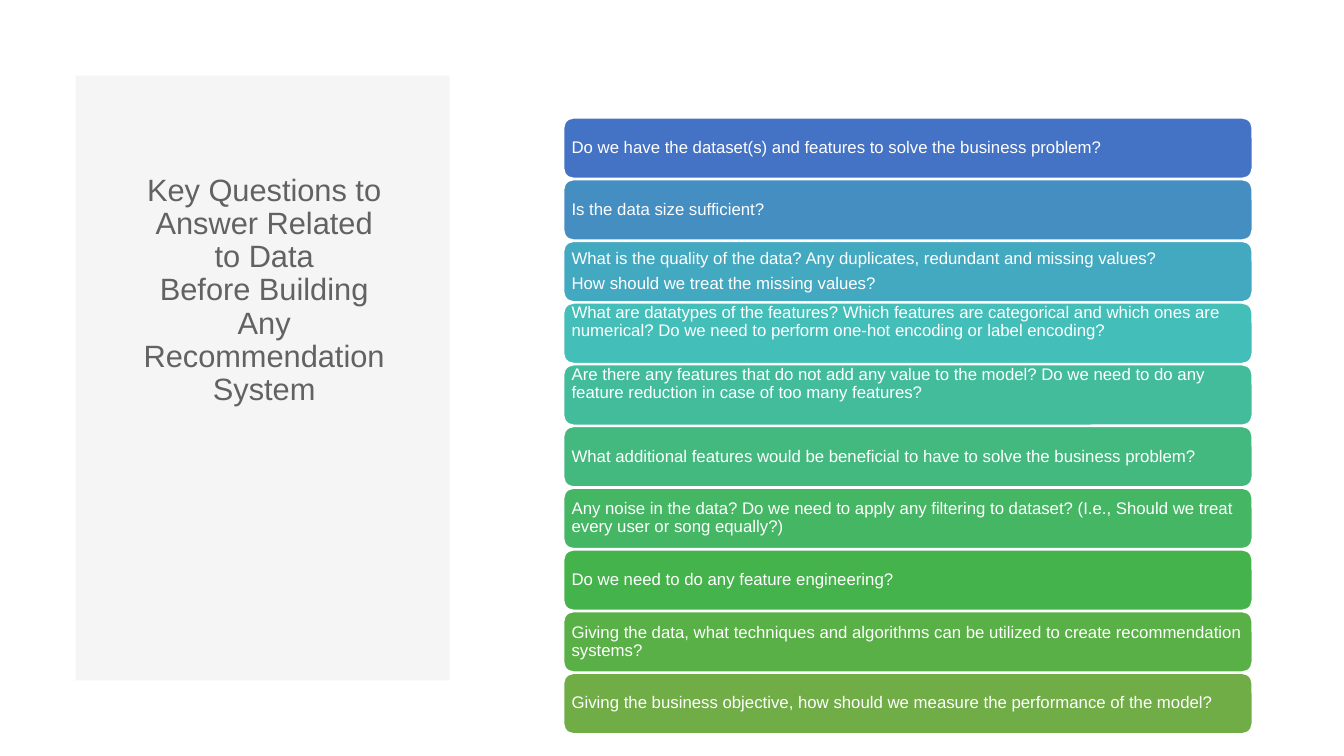
import pptx
import pptx.util
import pptx.dml.color
import pptx.enum.shapes
import pptx.enum.text

Inches, Pt = pptx.util.Inches, pptx.util.Pt
Shape = pptx.enum.shapes.MSO_SHAPE
Anchor = pptx.enum.text.MSO_ANCHOR
Align = pptx.enum.text.PP_ALIGN

COLORS = {"panel": "F5F5F5", "title": "626262", "white": "FFFFFF"}
TITLE = ("Key Questions to Answer Related to Data\v"
         "Before Building Any Recommendation System")

# Bar fill, lines of text, extra inset that lifts the text
BARS = [
    ("4472C4", ["Do we have the dataset(s) and features to solve the business problem?"], 0),
    ("448EC2", ["Is the data size sufficient?"], 0),
    ("43A9C0", ["What is the quality of the data? Any duplicates, redundant and missing values?",
                "How should we treat the missing values?"], 0),
    ("43BEB9", ["What are datatypes of the features? Which features are categorical and which "
                "ones are numerical? Do we need to perform one-hot encoding or label encoding?"], 0.22),
    ("43BC9C", ["Are there any features that do not add any value to the model? Do we need to do "
                "any feature reduction in case of too many features?"], 0.22),
    ("44B97F", ["What additional features would be beneficial to have to solve the business problem?"], 0),
    ("45B664", ["Any noise in the data? Do we need to apply any filtering to dataset? (I.e., Should "
                "we treat every user or song equally?)"], 0),
    ("45B34B", ["Do we need to do any feature engineering?"], 0),
    ("59B046", ["Giving the data, what techniques and algorithms can be utilized to create "
                "recommendation systems?"], 0),
    ("70AD47", ["Giving the business objective, how should we measure the performance of the model?"], 0),
]
FIRST, LAST = 1.17, 6.68
STEP = (LAST - FIRST) / (len(BARS) - 1)


def rgb(code):
    return pptx.dml.color.RGBColor.from_string(code)


def add_box(slide, kind, place, fill):
    box = slide.shapes.add_shape(kind, *map(Inches, place))
    box.shadow.inherit = False
    box.fill.solid()
    box.fill.fore_color.rgb = rgb(fill)
    box.line.fill.background()
    return box


def set_text(frame, lines, size, color, align, anchor, after=0):
    frame.word_wrap = True
    frame.vertical_anchor = anchor
    for i, line in enumerate(lines):
        para = frame.add_paragraph() if i else frame.paragraphs[0]
        para.text = line
        para.alignment = align
        para.line_spacing = 0.9
        para.space_after = Pt(after)
        para.font.size = Pt(size)
        para.font.name = "Arial"
        para.font.color.rgb = rgb(color)


def add_bar(slide, top, fill, lines, lift):
    bar = add_box(slide, Shape.ROUNDED_RECTANGLE, (5.59, top, 6.83, 0.6), fill)
    bar.line.color.rgb = rgb(COLORS["white"])
    bar.line.width = Pt(1)
    frame = bar.text_frame
    frame.margin_left = frame.margin_right = frame.margin_top = Inches(0.05)
    frame.margin_bottom = Inches(0.05 + lift)
    set_text(frame, lines, 12, COLORS["white"], Align.LEFT, Anchor.MIDDLE, 4.8)


def main():
    deck = pptx.Presentation()
    deck.slide_width, deck.slide_height = Inches(13.33), Inches(7.5)
    slide = deck.slides.add_slide(deck.slide_layouts[6])

    # Title panel
    add_box(slide, Shape.RECTANGLE, (0.75, 0.75, 3.71, 6), COLORS["panel"])
    title = slide.shapes.add_textbox(*map(Inches, (1.31, 1.38, 2.62, 2.71)))
    set_text(title.text_frame, [TITLE], 22, COLORS["title"], Align.CENTER, Anchor.BOTTOM)

    # Question bars
    for i, (fill, lines, lift) in enumerate(BARS):
        add_bar(slide, FIRST + i * STEP, fill, lines, lift)

    deck.save("out.pptx")


main()
